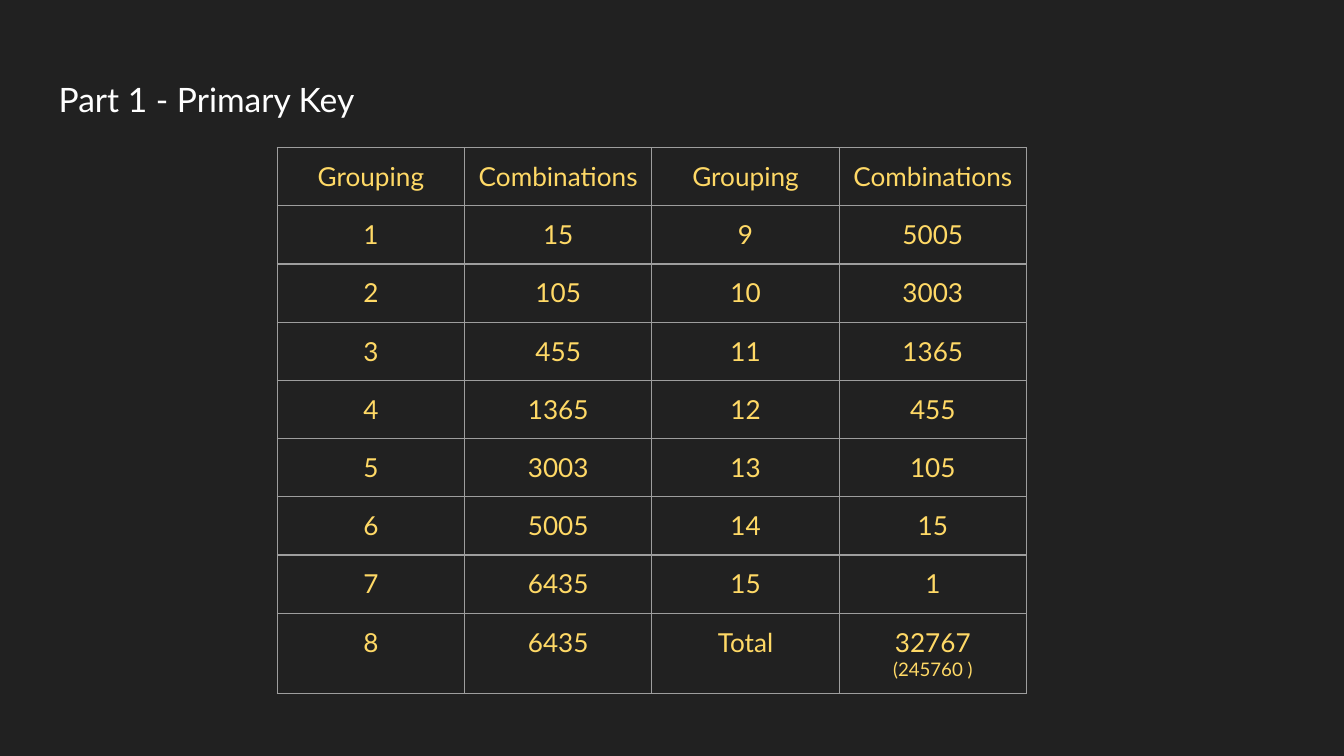
import math
from dataclasses import dataclass

import pptx
import pptx.dml.color
import pptx.enum.text
import pptx.oxml
import pptx.oxml.ns
import pptx.util

Cm = pptx.util.Cm
Pt = pptx.util.Pt
ALIGN = pptx.enum.text.PP_ALIGN
GOLD = "FFD966"
PAD = Cm(0.25)


@dataclass
class Piece:
    text: str
    size: float = 14
    ink: str = GOLD


def paint(ink: str) -> pptx.dml.color.RGBColor:
    return pptx.dml.color.RGBColor.from_string(ink)


def write(frame, parts: list[Piece], align) -> None:
    para = frame.paragraphs[0]
    para.alignment = align
    for part in parts:
        run = para.add_run()
        run.text = part.text
        run.font.name = "Lato"
        run.font.size = Pt(part.size)
        run.font.color.rgb = paint(part.ink)


def border(cell, ink: str) -> None:
    props = cell._tc.get_or_add_tcPr()
    for side in ("lnL", "lnR", "lnT", "lnB"):
        props.append(pptx.oxml.parse_xml(
            f'<a:{side} {pptx.oxml.ns.nsdecls("a")} w="{Pt(0.75)}">'
            f'<a:solidFill><a:srgbClr val="{ink}"/></a:solidFill></a:{side}>'
        ))


def fill(cell, parts: list[Piece]) -> None:
    border(cell, "9E9E9E")
    cell.fill.background()
    cell.margin_left = cell.margin_right = PAD
    cell.margin_top = cell.margin_bottom = PAD
    write(cell.text_frame, parts, ALIGN.CENTER)


def pair(size: int) -> list[list[Piece]]:
    return [[Piece(str(size))], [Piece(str(math.comb(15, size)))]]


def title(slide, text: str) -> None:
    box = slide.shapes.add_textbox(Cm(0.86), Cm(1.24), Cm(23.67), Cm(1.6))
    frame = box.text_frame
    frame.word_wrap = True
    frame.margin_left = frame.margin_right = PAD
    frame.margin_top = frame.margin_bottom = PAD
    write(frame, [Piece(text, 18, "FFFFFF")], ALIGN.LEFT)


def grid(slide, rows: list[list[list[Piece]]]) -> None:
    high = [Cm(1.1)] * (len(rows) - 1) + [Cm(1.52)]
    wide = Cm(3.54)
    count = len(rows[0])
    frame = slide.shapes.add_table(
        len(rows), count, Cm(5.24), Cm(2.79), wide * count, sum(high))
    table = frame.table
    table.horz_banding = False
    table.first_row = False
    for col in table.columns:
        col.width = wide
    for row, tall, cells in zip(table.rows, high, rows):
        row.height = tall
        for cell, parts in zip(row.cells, cells):
            fill(cell, parts)


def main() -> None:
    deck = pptx.Presentation()
    deck.slide_width = Cm(25.4)
    deck.slide_height = Cm(14.29)
    slide = deck.slides.add_slide(deck.slide_layouts[6])
    back = slide.background.fill
    back.solid()
    back.fore_color.rgb = paint("212121")

    title(slide, "Part 1 - Primary Key")
    head = [[Piece("Grouping")], [Piece("Combinations")]] * 2
    body = [pair(size) + pair(size + 8) for size in range(1, 8)]
    total = [[Piece("Total")], [Piece("32767 "), Piece("(245760 )", 10)]]
    grid(slide, [head, *body, pair(8) + total])
    deck.save("out.pptx")


if __name__ == "__main__":
    main()
